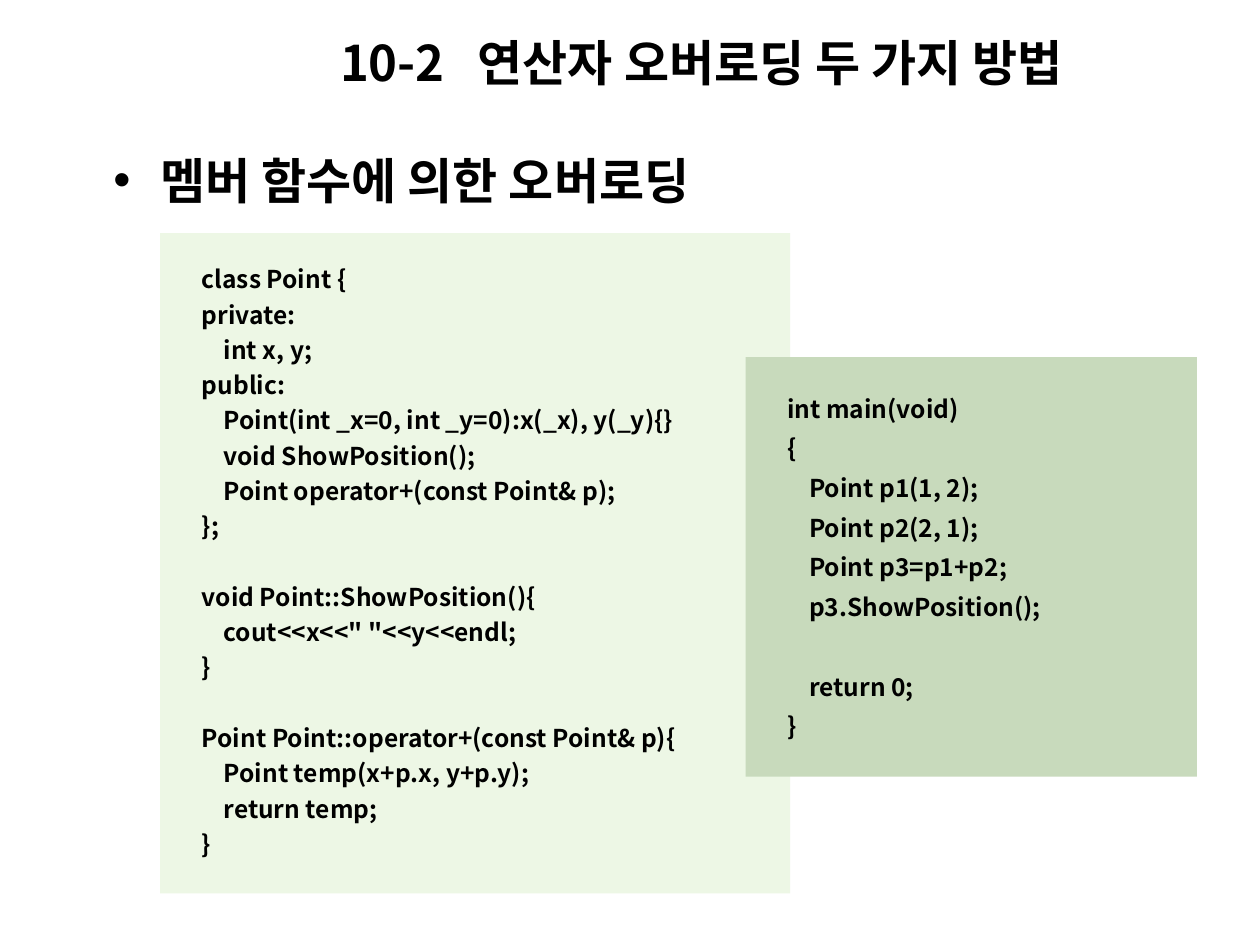
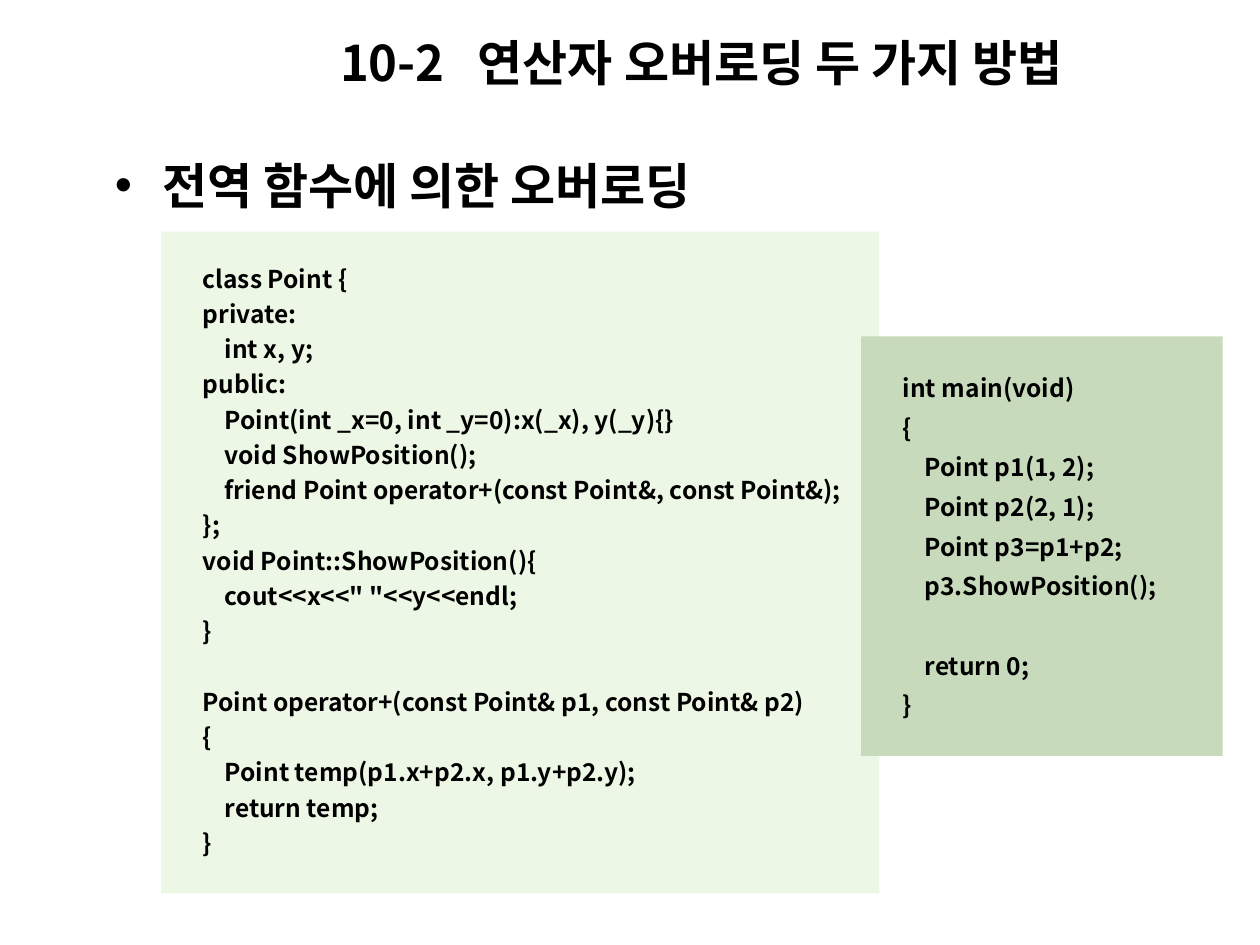
"""Two slides on operator overloading, each with a class listing and a main listing."""
from dataclasses import dataclass

from lxml import etree
from pptx import Presentation
from pptx import util as u
from pptx.dml.color import RGBColor
from pptx.enum import shapes, text
from pptx.oxml import ns

FONT = "Noto Sans CJK KR"
BLACK = RGBColor(0x00, 0x00, 0x00)
PALE_GREEN = RGBColor(0xED, 0xF7, 0xE5)
SAGE_GREEN = RGBColor(0xC8, 0xDA, 0xBC)

HEADING_SIZE = 28
CODE_SIZE = 14
LINE_HEIGHT = 1.2  # natural height of a line, in font sizes
CODE_INDENT = u.Cm(0.44)

TITLE = "10-2\t연산자 오버로딩 두 가지 방법"
TITLE_TAB = u.Cm(2.78)

CLASS_HEAD = """class Point {
private:
    int x, y;
public:
    Point(int _x=0, int _y=0):x(_x), y(_y){}
    void ShowPosition();
"""
SHOW_POSITION = """void Point::ShowPosition(){
    cout<<x<<" "<<y<<endl;
}

"""
MEMBER_CODE = CLASS_HEAD + """    Point operator+(const Point& p);
};

""" + SHOW_POSITION + """Point Point::operator+(const Point& p){
    Point temp(x+p.x, y+p.y);
    return temp;
}"""
GLOBAL_CODE = CLASS_HEAD + """    friend Point operator+(const Point&, const Point&);
};
""" + SHOW_POSITION + """Point operator+(const Point& p1, const Point& p2)
{
    Point temp(p1.x+p2.x, p1.y+p2.y);
    return temp;
}"""
MAIN_CODE = """int main(void)
{
    Point p1(1, 2);
    Point p2(2, 1);
    Point p3=p1+p2;
    p3.ShowPosition();

    return 0;
}"""


@dataclass(frozen=True)
class Area:
    """A rectangle on the page, in centimetres."""
    left: float
    top: float
    width: float
    height: float

    def lengths(self) -> tuple:
        """Return left, top, width and height as lengths."""
        return tuple(u.Cm(n) for n in (self.left, self.top, self.width, self.height))


@dataclass(frozen=True)
class Listing:
    """A filled panel of program code."""
    area: Area
    code: str
    fill: RGBColor
    spacing: float


@dataclass(frozen=True)
class Lesson:
    """What differs from one page to the next."""
    heading: str
    heading_area: Area
    listings: tuple


TITLE_AREA = Area(6.6, 0.53, 16.89, 1.45)

LESSONS = (
    Lesson("멤버 함수에 의한 오버로딩", Area(2.03, 2.67, 13.49, 1.68), (
        Listing(Area(3.23, 4.7, 12.7, 13.31), MEMBER_CODE, PALE_GREEN, 1.2),
        Listing(Area(15.03, 7.2, 9.1, 8.46), MAIN_CODE, SAGE_GREEN, 1.35),
    )),
    Lesson("전역 함수에 의한 오버로딩", Area(2.06, 2.77, 21.59, 1.68), (
        Listing(Area(3.25, 4.67, 14.48, 13.34), GLOBAL_CODE, PALE_GREEN, 1.2),
        Listing(Area(17.36, 6.78, 7.29, 8.46), MAIN_CODE, SAGE_GREEN, 1.35),
    )),
)


def write(para, words: str, *, size: float, spacing: float = 1.0,
          before: float = 0, indent: int = 0) -> None:
    """Write bold black text into a left-aligned paragraph."""
    para.alignment = text.PP_ALIGN.LEFT
    para.line_spacing = spacing
    para.space_before = u.Pt(before)
    if indent:
        para._p.get_or_add_pPr().set("marL", str(indent))
    span = para.add_run()
    span.text = words
    span.font.name = FONT
    span.font.size = u.Pt(size)
    span.font.bold = True
    span.font.color.rgb = BLACK
    etree.SubElement(span._r.get_or_add_rPr(), ns.qn("a:ea"), typeface=FONT)


def place(box, area: Area, anchor) -> None:
    """Move a placeholder and fix how its text sits."""
    box.left, box.top, box.width, box.height = area.lengths()
    box.text_frame.word_wrap = True
    box.text_frame.auto_size = text.MSO_AUTO_SIZE.NONE
    box.text_frame.vertical_anchor = anchor


def add_title(page) -> None:
    """Fill the title, with a tab stop after the section number."""
    box = page.shapes.title
    place(box, TITLE_AREA, text.MSO_ANCHOR.MIDDLE)
    para = box.text_frame.paragraphs[0]
    write(para, TITLE, size=HEADING_SIZE)
    tabs = etree.SubElement(para._p.get_or_add_pPr(), ns.qn("a:tabLst"))
    etree.SubElement(tabs, ns.qn("a:tab"), pos=str(TITLE_TAB), algn="l")


def add_heading(page, lesson: Lesson) -> None:
    """Fill the body with the one bulleted heading."""
    box = page.placeholders[1]
    place(box, lesson.heading_area, text.MSO_ANCHOR.TOP)
    write(box.text_frame.paragraphs[0], lesson.heading,
          size=HEADING_SIZE, spacing=1.2, before=7)


def add_listing(page, listing: Listing) -> None:
    """Draw a code panel; an empty code line becomes space before the next."""
    box = page.shapes.add_shape(shapes.MSO_SHAPE.RECTANGLE, *listing.area.lengths())
    box.shadow.inherit = False
    box.fill.solid()
    box.fill.fore_color.rgb = listing.fill
    box.line.fill.background()

    frame = box.text_frame
    frame.word_wrap = True
    frame.vertical_anchor = text.MSO_ANCHOR.MIDDLE
    frame.margin_left, frame.margin_top = u.Cm(0.84), u.Cm(0.33)
    frame.margin_right, frame.margin_bottom = u.Cm(0.25), u.Cm(0.53)

    gap = 0
    for number, line in enumerate(listing.code.splitlines()):
        if not line:
            gap = round(CODE_SIZE * LINE_HEIGHT * listing.spacing, 1)
            continue
        para = frame.add_paragraph() if number else frame.paragraphs[0]
        words = line.lstrip()
        write(para, words, size=CODE_SIZE, spacing=listing.spacing, before=gap,
              indent=CODE_INDENT if words != line else 0)
        gap = 0


def main() -> None:
    """Build and save the deck."""
    deck = Presentation()
    deck.slide_width, deck.slide_height = u.Cm(25.4), u.Cm(19.05)
    for lesson in LESSONS:
        page = deck.slides.add_slide(deck.slide_layouts[1])
        add_title(page)
        add_heading(page, lesson)
        for listing in lesson.listings:
            add_listing(page, listing)
    deck.save("out.pptx")


main()
